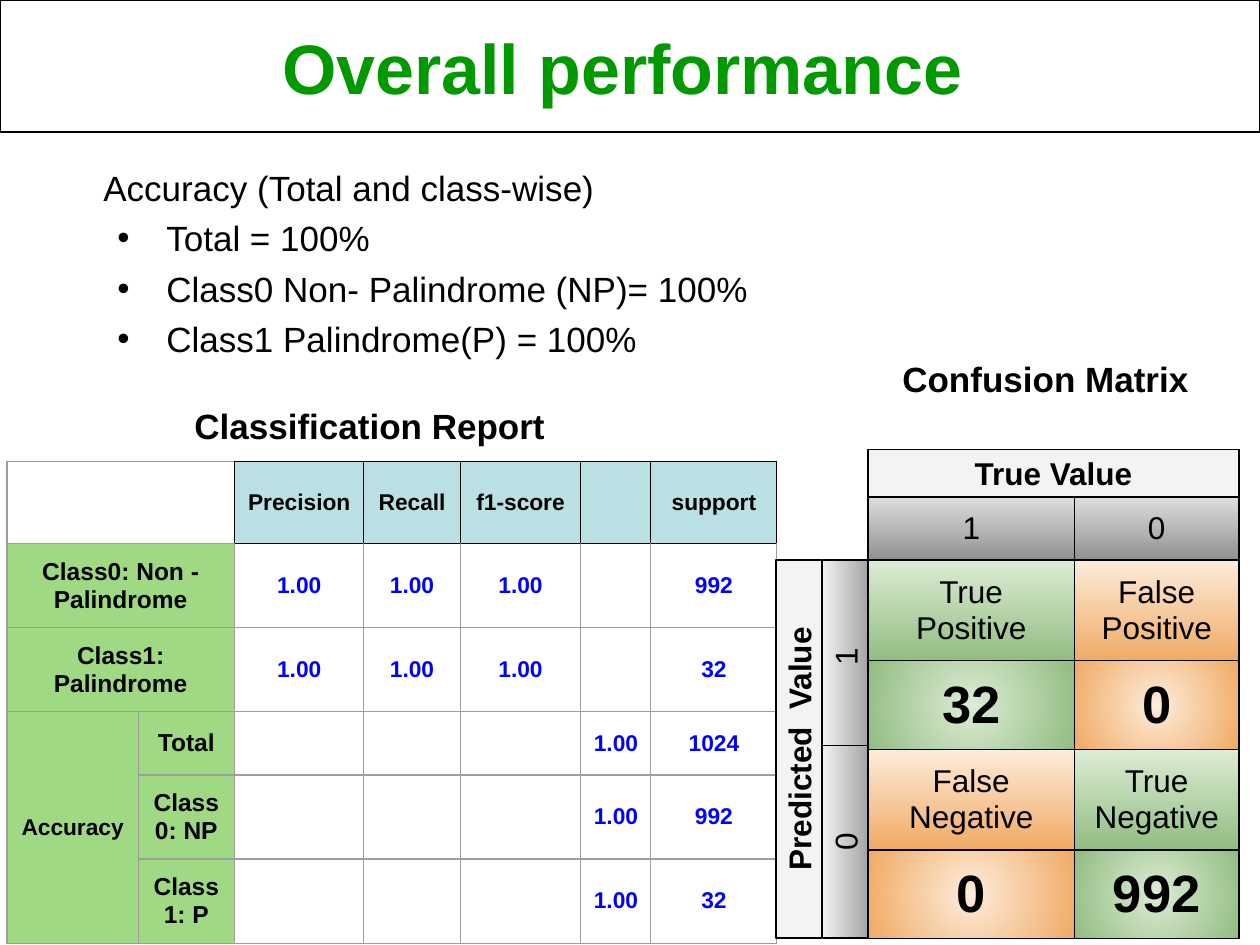
from lxml import etree
from pptx import Presentation
from pptx.dml.color import RGBColor
from pptx.enum.shapes import MSO_SHAPE
from pptx.enum.text import MSO_ANCHOR, MSO_AUTO_SIZE, PP_ALIGN
from pptx.oxml.ns import qn
from pptx.util import Pt

RECT = MSO_SHAPE.RECTANGLE
MIDDLE, TOP = MSO_ANCHOR.MIDDLE, MSO_ANCHOR.TOP
CENTER, LEFT = PP_ALIGN.CENTER, PP_ALIGN.LEFT
FIXED = MSO_AUTO_SIZE.NONE
PAD = 7.2

HEX = {
    "ink": "000000", "title": "009900", "value": "0000FF", "edge": "9E9E9E",
    "head": "BBE0E3", "label": "9FD983", "band": "F3F3F3",
}
FADES = {
    "gray": ("DDDDDD", "919191"), "side": ("F2F2F2", "A6A6A6"),
    "good": ("DCECD5", "92BC81"), "bad": ("FDECDB", "F0AA63"),
}


def rgb(name):
    """Look up a named colour."""
    return RGBColor.from_string(HEX[name])


def style(frame, size, bold=False, color="ink", align=CENTER, gap=0):
    """Format every paragraph and run of a text frame."""
    for para in frame.paragraphs:
        para.alignment = align
        para.space_before = Pt(gap)
        for run in para.runs:
            font = run.font
            font.name, font.size, font.bold = "Arial", Pt(size), bold
            font.color.rgb = rgb(color)


def paint(fill, name):
    """Apply no fill, a flat colour or a downward fade."""
    if name is None:
        fill.background()
    elif name in FADES:
        fill.gradient()
        fill.gradient_angle = 270
        for stop, code in zip(fill.gradient_stops, FADES[name]):
            stop.color.rgb = RGBColor.from_string(code)
    else:
        fill.solid()
        fill.fore_color.rgb = rgb(name)


def glow(cell):
    """Turn the fade of a cell into a round one."""
    lin = cell._tc.tcPr.find(".//" + qn("a:lin"))
    ring = etree.Element(qn("a:path"), {"path": "circle"})
    etree.SubElement(ring, qn("a:fillToRect"), {s: "50000" for s in "ltrb"})
    lin.getparent().replace(lin, ring)


def border(cell, **sides):
    """Draw the four borders of a cell with named colours."""
    props = cell._tc.get_or_add_tcPr()
    for side in "LRTB":
        line = etree.SubElement(props, qn("a:ln" + side), {"w": str(Pt(0.75))})
        fill = etree.SubElement(line, qn("a:solidFill"))
        etree.SubElement(fill, qn("a:srgbClr"), {"val": HEX[sides[side]]})


def edges(name, **other):
    """Give all four sides one colour, with exceptions."""
    return {**dict.fromkeys("LRTB", name), **other}


def fill_cell(cell, text, size, bold, color, back, sides):
    """Set the text, borders and fill of one table cell."""
    cell.margin_left = cell.margin_right = Pt(PAD)
    cell.margin_top = cell.margin_bottom = Pt(PAD)
    cell.vertical_anchor = MIDDLE
    cell.text = text
    style(cell.text_frame, size, bold, color)
    border(cell, **sides)
    paint(cell.fill, back)


def add_grid(slide, left, top, cols, rows):
    """Add a bare table with the given column widths and row heights."""
    table = slide.shapes.add_table(
        len(rows), len(cols), Pt(left), Pt(top), Pt(sum(cols)), Pt(sum(rows))).table
    table.first_row = table.horz_banding = False
    for col, width in zip(table.columns, cols):
        col.width = Pt(width)
    for row, height in zip(table.rows, rows):
        row.height = Pt(height)
    return table


def add_text(slide, box, lines, bold=False):
    """Add a 20-point text box with one paragraph for each line."""
    frame = slide.shapes.add_textbox(*map(Pt, box)).text_frame
    frame.word_wrap = True
    frame.vertical_anchor = TOP
    frame.text = "\n".join(lines)
    style(frame, 20, bold, align=LEFT, gap=4.8)
    return frame


def add_band(slide, box, text, back, bold=False, turn=False):
    """Add a label bar that covers the box, turned upward on request."""
    x, y, w, h = box
    if turn:
        x, y, w, h = x + (w - h) / 2, y + (h - w) / 2, h, w
    bar = slide.shapes.add_shape(RECT, Pt(x), Pt(y), Pt(w), Pt(h))
    bar.rotation = 270 if turn else 0
    bar.shadow.inherit = False
    paint(bar.fill, back)
    bar.line.color.rgb = rgb("ink")
    bar.line.width = Pt(0.75)
    frame = bar.text_frame
    frame.margin_left = frame.margin_right = Pt(PAD)
    frame.margin_top = frame.margin_bottom = Pt(PAD)
    frame.vertical_anchor = MIDDLE
    frame.word_wrap = True
    frame.text = text
    style(frame, 18, bold)


def add_title(slide, box):
    """Place the framed title."""
    title = slide.shapes.title
    title.left, title.top, title.width, title.height = map(Pt, box)
    title.line.color.rgb = rgb("ink")
    title.line.width = Pt(0.75)
    frame = title.text_frame
    frame.auto_size = FIXED
    frame.vertical_anchor = MIDDLE
    frame.margin_right = Pt(PAD + 9)
    frame.text = "Overall performance"
    style(frame, 40, True, "title")


def add_scores(slide, box):
    """Place the accuracy list."""
    frame = add_text(slide, box, [
        "Accuracy (Total and class-wise)", "Total = 100%",
        "Class0 Non- Palindrome (NP)= 100%", "Class1 Palindrome(P) = 100%"])
    for para in frame.paragraphs[1:]:
        props = para._p.get_or_add_pPr()
        props.set("marL", str(Pt(36)))
        props.set("indent", str(Pt(-28)))
        etree.SubElement(props, qn("a:buFont"), {"typeface": "Arial"})
        etree.SubElement(props, qn("a:buChar"), {"char": "•"})


def add_report(slide, box):
    """Place the classification report."""
    x, y, w, h = box
    add_text(slide, (x + 100, y, 270, 36), ["Classification Report"], True)
    data = [
        ("", "", "Precision", "Recall", "f1-score", "", "support"),
        ("Class0: Non - Palindrome", "", "1.00", "1.00", "1.00", "", "992"),
        ("Class1: Palindrome", "", "1.00", "1.00", "1.00", "", "32"),
        ("Accuracy", "Total", "", "", "", "1.00", "1024"),
        ("", "Class0: NP", "", "", "", "1.00", "992"),
        ("", "Class1: P", "", "", "", "1.00", "32"),
    ]
    tall = (h - 36 - 35) / 5
    table = add_grid(slide, x, y + 36, (75, 55, 74, 55, 69, 40, w - 368),
                     (tall, tall, tall, 35, tall, tall))
    for r, row in enumerate(data):
        for c, text in enumerate(row):
            size, color, back, sides = 13, "ink", None, edges("edge")
            if c < 2 and r:
                back = "label"
                size = 13 if text == "Accuracy" else 14
            elif c < 2:
                sides = edges("edge", R="ink")
            elif r == 0:
                back, sides = "head", edges("ink")
            else:
                color = "value"
                sides = edges("edge", T="ink" if r == 1 else "edge")
            fill_cell(table.cell(r, c), text, size, True, color, back, sides)
    for r in range(3):
        table.cell(r, 0).merge(table.cell(r, 1))
    table.cell(3, 0).merge(table.cell(5, 0))


def add_matrix(slide, box):
    """Place the confusion matrix with its side labels."""
    x, y, w, h = box
    left, top = x + 52.5, y + 83
    add_text(slide, (x + 65, y, 212, 36), ["Confusion Matrix"], True)
    data = [
        (("1", "gray"), ("0", "gray")),
        (("True Positive", "good"), ("False Positive", "bad")),
        (("32", "good"), ("0", "bad")),
        (("False Negative", "bad"), ("True Negative", "good")),
        (("0", "bad"), ("992", "good")),
    ]
    table = add_grid(slide, left, top, (118, w - 170.5), (34.3, 54.9, 48, 54.5, 48))
    for r, row in enumerate(data):
        count = r in (2, 4)
        for c, (text, back) in enumerate(row):
            cell = table.cell(r, c)
            fill_cell(cell, text, 30 if count else 18, count, "ink", back, edges("ink"))
            if count:
                glow(cell)
    side = y + 119
    add_band(slide, (x, side, 26, h - 119), "Predicted  Value", "band", True, True)
    for i, text in enumerate("10"):
        add_band(slide, (x + 26.3, side + 106 * i, 26, 110), text, "side", turn=True)
    add_band(slide, (left, top - 27, w - 52.5, 27), "True Value", "band", True)


def main():
    """Build and save the slide."""
    deck = Presentation()
    deck.slide_width, deck.slide_height = Pt(720), Pt(540)
    slide = deck.slides.add_slide(deck.slide_layouts[5])
    add_title(slide, (0, 0, 720, 75.5))
    add_scores(slide, (52, 91.5, 410, 140))
    add_report(slide, (4, 227.5, 440, 307))
    add_matrix(slide, (443.5, 201, 264.5, 335))
    deck.save("out.pptx")


if __name__ == "__main__":
    main()
